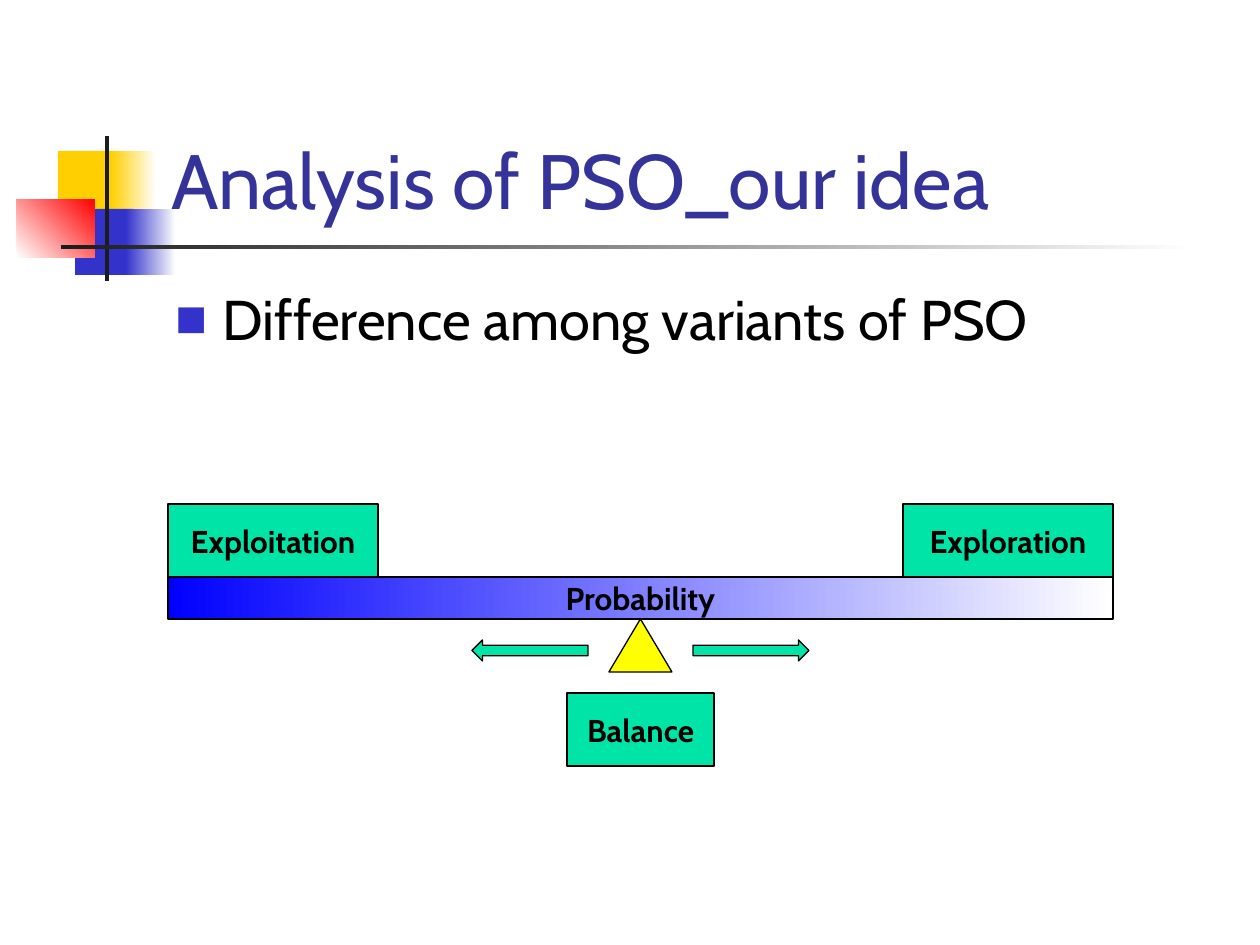
from dataclasses import dataclass
from typing import Optional

from lxml.etree import SubElement
from pptx import Presentation
from pptx.dml.color import RGBColor
from pptx.enum.shapes import MSO_SHAPE as Shape
from pptx.enum.text import MSO_ANCHOR as Anchor, PP_ALIGN as Align
from pptx.oxml.ns import qn
from pptx.util import Pt

PX = 914400 // 126
FONT = "Cabin"
BLACK, WHITE, GREEN = "000000", "FFFFFF", "00E4A8"
GOLD, BLUE, DARK = "FFCF01", "3333CC", "1C1C1C"


@dataclass
class Block:
    left: int
    top: int
    width: int
    height: int
    fill: str
    fade: Optional[str] = None
    angle: int = 0
    kind: Shape = Shape.RECTANGLE
    outlined: bool = False
    label: str = ""


def color(code: str) -> RGBColor:
    return RGBColor.from_string(code)


def add_span(para, text: str, size: int, code: str, bold: bool = False) -> None:
    span = para.add_run()
    span.text = text
    span.font.name = FONT
    span.font.size = Pt(size)
    span.font.bold = bold
    span.font.color.rgb = color(code)


def draw_block(page, block: Block) -> None:
    shape = page.shapes.add_shape(
        block.kind, block.left * PX, block.top * PX, block.width * PX, block.height * PX)
    shape.shadow.inherit = False
    if block.fade:
        shape.fill.gradient()
        shape.fill.gradient_angle = block.angle
        for stop, code in zip(shape.fill.gradient_stops, (block.fill, block.fade)):
            stop.color.rgb = color(code)
    else:
        shape.fill.solid()
        shape.fill.fore_color.rgb = color(block.fill)
    if block.outlined:
        shape.line.color.rgb = color(BLACK)
        shape.line.width = Pt(0.75)
    else:
        shape.line.fill.background()
    if block.label:
        frame = shape.text_frame
        frame.vertical_anchor = Anchor.MIDDLE
        para = frame.paragraphs[0]
        para.alignment = Align.CENTER
        add_span(para, block.label, 18, BLACK, bold=True)


def add_text(page, left: int, top: int, width: int, height: int, anchor: Anchor):
    box = page.shapes.add_textbox(left * PX, top * PX, width * PX, height * PX)
    frame = box.text_frame
    frame.word_wrap = True
    frame.vertical_anchor = anchor
    return frame.paragraphs[0]


def add_bullet(para, code: str, indent: int) -> None:
    props = para._p.get_or_add_pPr()
    props.set("marL", str(indent * PX))
    props.set("indent", str(-indent * PX))
    SubElement(SubElement(props, qn("a:buClr")), qn("a:srgbClr")).set("val", code)
    SubElement(props, qn("a:buSzPct")).set("val", "60000")
    SubElement(props, qn("a:buFont")).set("typeface", FONT)
    SubElement(props, qn("a:buChar")).set("char", "■")


ORNAMENT = [
    Block(58, 151, 60, 66, GOLD),
    Block(111, 151, 45, 66, GOLD, WHITE),
    Block(75, 209, 58, 66, BLUE),
    Block(126, 209, 50, 66, BLUE, WHITE),
    Block(17, 199, 78, 59, WHITE, "FF0000", angle=45),
    Block(105, 136, 4, 145, DARK),
    Block(61, 245, 1134, 4, DARK, WHITE),
]

SEESAW = [
    Block(168, 577, 945, 42, "0000FF", WHITE, outlined=True, label="Probability"),
    Block(609, 619, 63, 53, "FFFF00", kind=Shape.ISOSCELES_TRIANGLE, outlined=True),
    Block(168, 504, 210, 73, GREEN, outlined=True, label="Exploitation"),
    Block(903, 504, 210, 73, GREEN, outlined=True, label="Exploration"),
    Block(567, 693, 147, 73, GREEN, outlined=True, label="Balance"),
    Block(693, 640, 116, 21, GREEN, kind=Shape.RIGHT_ARROW, outlined=True),
    Block(472, 640, 116, 21, GREEN, kind=Shape.LEFT_ARROW, outlined=True),
]


def main() -> None:
    deck = Presentation()
    deck.slide_width, deck.slide_height = 1260 * PX, 945 * PX
    page = deck.slides.add_slide(deck.slide_layouts[6])

    # Corner ornament and rule
    for block in ORNAMENT:
        draw_block(page, block)

    # Title and bullet
    title = add_text(page, 159, 29, 1074, 202, Anchor.BOTTOM)
    add_span(title, "Analysis of PSO_our idea", 44, "333399")
    point = add_text(page, 163, 278, 1071, 567, Anchor.TOP)
    add_bullet(point, BLUE, 47)
    add_span(point, "Difference among variants of PSO", 32, BLACK)

    # Balance diagram
    for block in SEESAW:
        draw_block(page, block)

    deck.save("out.pptx")


if __name__ == "__main__":
    main()
